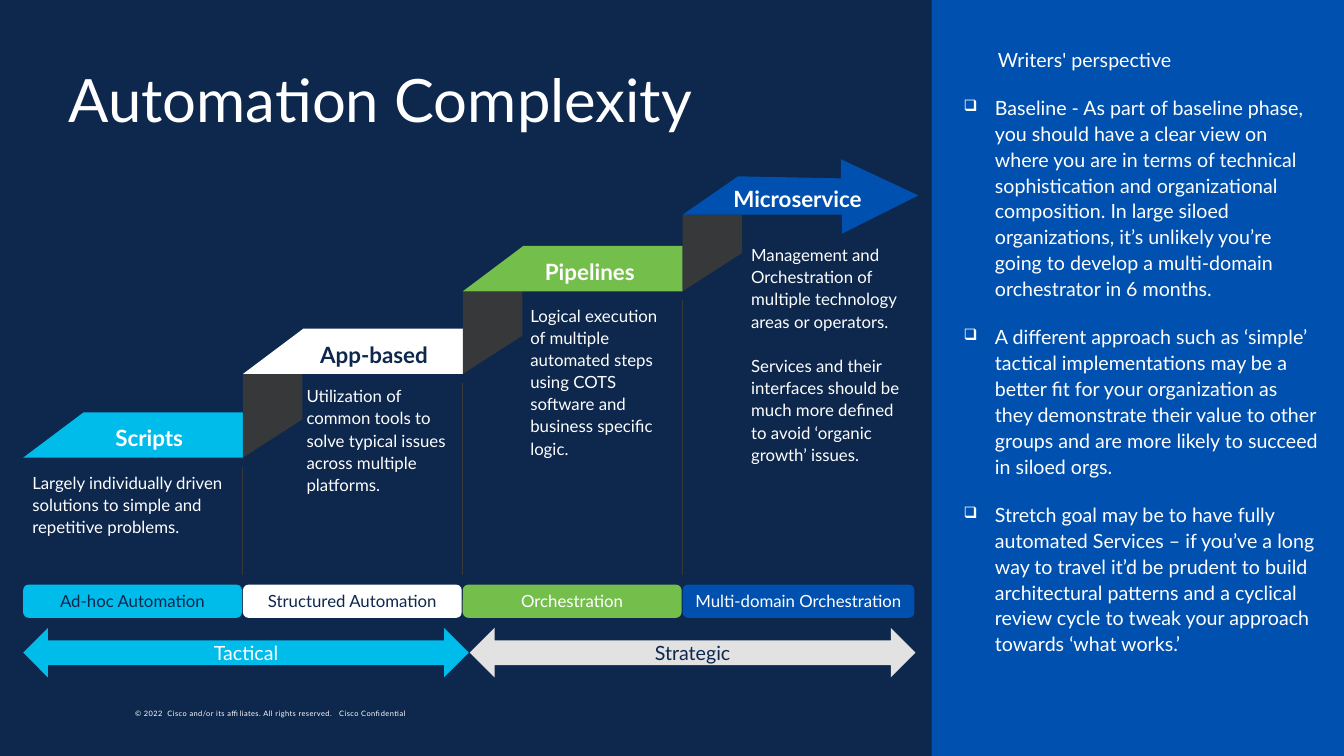
"""Build the Automation Complexity slide: a rising staircase of stages beside a commentary panel."""
from dataclasses import dataclass

from lxml import etree
from pptx import Presentation
from pptx import util as u
from pptx.dml.color import RGBColor
from pptx.enum import shapes, text
from pptx.oxml.ns import qn


@dataclass(frozen=True)
class Theme:
    font: str = "Lato"
    navy: str = "0D274D"
    blue: str = "0051AF"
    cyan: str = "00BCEB"
    green: str = "74BF4B"
    white: str = "FFFFFF"
    grey: str = "E2E2E2"
    charcoal: str = "37383A"
    title: float = 42.7
    heading: float = 16
    arrow: float = 14
    body: float = 12
    footer: float = 5.3


theme = Theme()


def paint(shape, color):
    shape.shadow.inherit = False
    shape.fill.solid()
    shape.fill.fore_color.rgb = RGBColor.from_string(color)
    shape.line.fill.background()


def write(shape, lines, size, color, align=text.PP_ALIGN.LEFT, anchor=text.MSO_ANCHOR.TOP,
          inset=(0.1, 0.05), bold=False, spacing=1.0, after=0):
    frame = shape.text_frame
    frame.word_wrap = True
    frame.vertical_anchor = anchor
    frame.margin_left = frame.margin_right = u.Inches(inset[0])
    frame.margin_top = frame.margin_bottom = u.Inches(inset[1])
    for index, line in enumerate(lines):
        paragraph = frame.add_paragraph() if index else frame.paragraphs[0]
        paragraph.alignment = align
        paragraph.line_spacing = spacing
        paragraph.space_after = u.Pt(after)
        run = paragraph.add_run()
        run.text = line
        run.font.name = theme.font
        run.font.size = u.Pt(size)
        run.font.bold = bold
        run.font.color.rgb = RGBColor.from_string(color)
    return frame


presentation = Presentation()
presentation.slide_width = u.Inches(13.33)
presentation.slide_height = u.Inches(7.5)
slide = presentation.slides.add_slide(presentation.slide_layouts[5])
slide.background.fill.solid()
slide.background.fill.fore_color.rgb = RGBColor.from_string(theme.navy)

title = slide.shapes.title
title.left, title.top, title.width, title.height = map(u.Inches, (0.58, 0.71, 12.17, 0.69))
write(title, ["Automation Complexity"], theme.title, theme.white, spacing=0.8)
title.text_frame.auto_size = text.MSO_AUTO_SIZE.NONE

footer = slide.shapes.add_textbox(*map(u.Inches, (1.25, 6.98, 4.96, 0.18)))
frame = write(footer, ["© 2022  Cisco and/or its affiliates. All rights reserved.   Cisco Confidential"],
              theme.footer, theme.white, anchor=text.MSO_ANCHOR.BOTTOM, inset=(0.09, 0.04))
frame.paragraphs[0].runs[0].font._element.set("spc", "30")

left, column = 0.23, 2.18
center, middle = text.PP_ALIGN.CENTER, text.MSO_ANCHOR.MIDDLE
ribbon = [(0, 0), (0.6, -0.45), (2.18, -0.45), (2.18, 0)]
arrow = [(0, 0), (0.55, -0.38), (1.57, -0.36), (1.57, -0.55), (2.34, -0.19), (1.58, 0.19), (1.58, 0)]
stages = [
    ("Scripts", "Ad-hoc Automation", theme.cyan, theme.white, theme.navy, 4.54, ribbon,
     (0.46, -0.33), (0.09, 0.13, 1.99),
     ["Largely individually driven solutions to simple and repetitive problems."]),
    ("App-based", "Structured Automation", theme.white, theme.navy, theme.navy, 3.71, ribbon,
     (0.51, -0.33), (0.63, 0.1, 1.52),
     ["Utilization of common tools to solve typical issues across multiple platforms."]),
    ("Pipelines", "Orchestration", theme.green, theme.white, theme.white, 2.89, ribbon,
     (0.47, -0.33), (0.67, 0.12, 1.38),
     ["Logical execution of multiple automated steps using COTS software and business specific logic."]),
    ("Microservice", "Multi-domain Orchestration", theme.blue, theme.white, theme.white, 2.13, arrow,
     (0.35, -0.29), (0.68, 0.28, 1.51),
     ["Management and Orchestration of multiple technology areas or operators.",
      "Services and their interfaces should be much more defined to avoid ‘organic growth’ issues."]),
]

previous = None
for index, (name, scope, fill, name_color, scope_color, base, outline, label_at, note_at, notes) in enumerate(stages):
    x = left + index * column
    outlines = [([(x + dx, base + dy) for dx, dy in outline], fill)]
    if previous:
        divider = slide.shapes.add_connector(
            shapes.MSO_CONNECTOR.STRAIGHT, *map(u.Inches, (x, previous + 0.09, x, 5.7)))
        divider.line.width = u.Pt(0.75)
        divider.line.color.rgb = RGBColor.from_string(theme.charcoal)
        etree.SubElement(divider._element.spPr, qn("a:effectLst"))
        fold = [(x, base), (x, previous), (x + 0.59, previous - 0.38), (x + 0.59, base)]
        outlines.insert(0, (fold, theme.charcoal))
    for points, color in outlines:
        corners = [(u.Inches(px), u.Inches(py)) for px, py in points]
        builder = slide.shapes.build_freeform(*corners[0])
        builder.add_line_segments(corners[1:], close=True)
        paint(builder.convert_to_shape(), color)

    label = slide.shapes.add_textbox(*map(u.Inches, (x + label_at[0], base + label_at[1], 1.58, 0.27)))
    write(label, [name], theme.heading, name_color, center, inset=(0, 0), bold=True)
    note = slide.shapes.add_textbox(
        *map(u.Inches, (x + note_at[0], base + note_at[1], note_at[2], 5.6 - base - note_at[1])))
    write(note, notes, theme.body, theme.white, inset=(0, 0), spacing=1.1, after=16)

    width = 2.3 if outline is arrow else 2.17
    pill = slide.shapes.add_shape(
        shapes.MSO_SHAPE.ROUNDED_RECTANGLE, *map(u.Inches, (x, 5.8, width, 0.33)))
    paint(pill, fill)
    write(pill, [scope], theme.body, scope_color, center, middle)
    previous = base

spans = [("Tactical", theme.cyan, theme.white), ("Strategic", theme.grey, theme.navy)]
for index, (name, fill, color) in enumerate(spans):
    span = slide.shapes.add_shape(
        shapes.MSO_SHAPE.LEFT_RIGHT_ARROW, *map(u.Inches, (left + index * 4.43, 6.23, 4.42, 0.49)))
    paint(span, fill)
    write(span, [name], theme.arrow, color, center, middle)

panel = slide.shapes.add_shape(shapes.MSO_SHAPE.RECTANGLE, *map(u.Inches, (9.24, 0, 4.09, 7.5)))
paint(panel, theme.blue)
perspective = slide.shapes.add_textbox(*map(u.Inches, (9.46, 0.4, 3.73, 6.46)))
frame = write(perspective, [
    "Writers' perspective",
    "Baseline - As part of baseline phase, you should have a clear view on where you are in terms of "
    "technical sophistication and organizational composition. In large siloed organizations, it’s "
    "unlikely you’re going to develop a multi-domain orchestrator in 6 months.",
    "A different approach such as ‘simple’ tactical implementations may be a better fit for your "
    "organization as they demonstrate their value to other groups and are more likely to succeed in "
    "siloed orgs.",
    "Stretch goal may be to have fully automated Services – if you’ve a long way to travel it’d be "
    "prudent to build architectural patterns and a cyclical review cycle to tweak your approach "
    "towards ‘what works.’",
], theme.arrow, theme.white, spacing=1.1, after=16)
heading, *bullets = frame.paragraphs
heading._p.get_or_add_pPr().set("marL", str(u.Inches(0.34)))
for paragraph in bullets:
    properties = paragraph._p.get_or_add_pPr()
    properties.set("marL", str(u.Inches(0.31)))
    properties.set("indent", str(u.Inches(-0.31)))
    bullet_color = etree.SubElement(properties, qn("a:buClr"))
    etree.SubElement(bullet_color, qn("a:srgbClr"), val=theme.white)
    etree.SubElement(properties, qn("a:buSzPct"), val="80000")
    etree.SubElement(properties, qn("a:buChar"), char="❑")

presentation.save("out.pptx")
